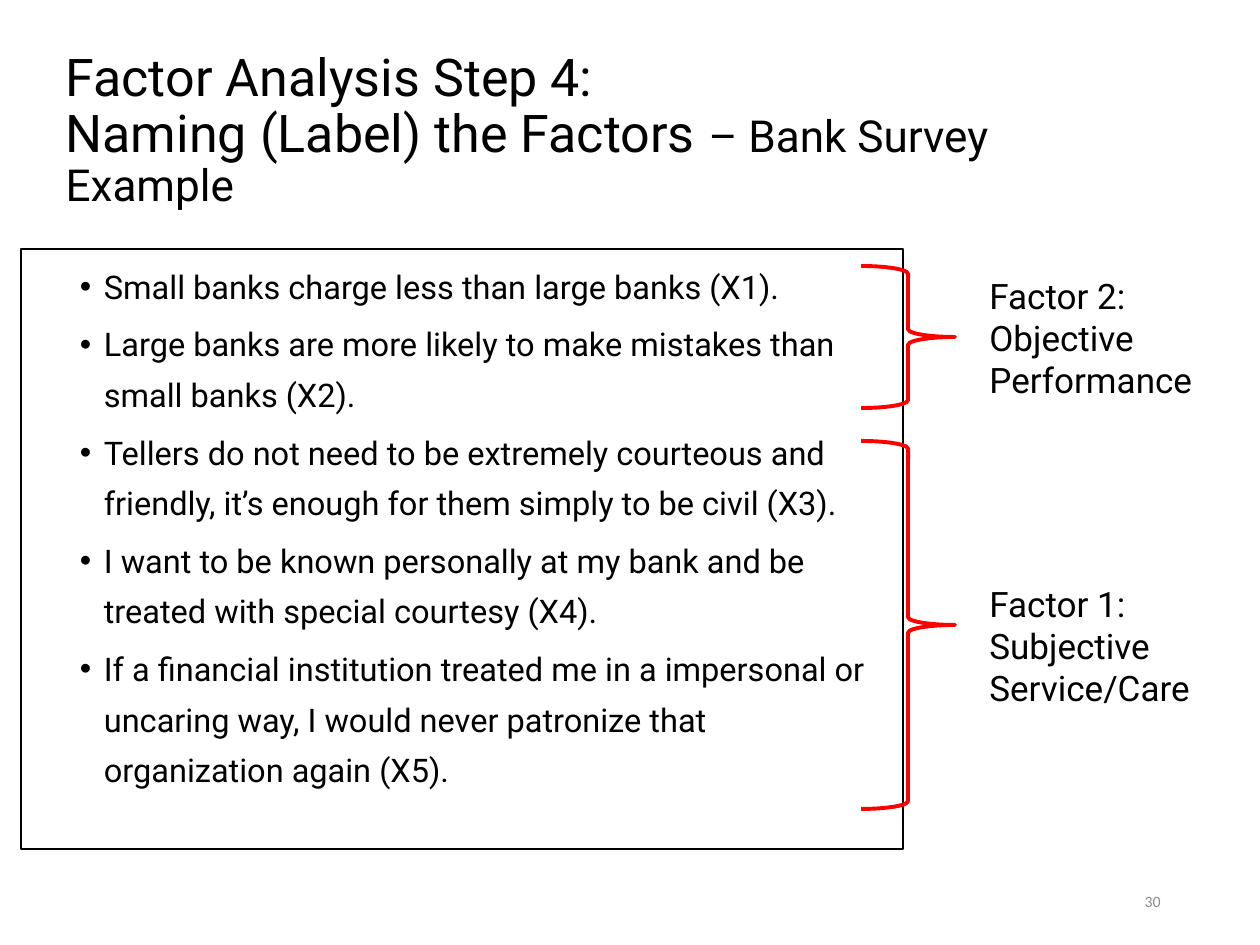
from dataclasses import dataclass

from lxml import etree
from pptx import Presentation
from pptx import util as u
from pptx.dml.color import RGBColor
from pptx.enum import shapes, text
from pptx.oxml.ns import qn

EMU_PER_PX = 914400 / 126


def px(n):
    """Turn whole pixels into EMU."""
    return u.Emu(round(n * EMU_PER_PX))


@dataclass(frozen=True)
class Theme:
    """Colours, fonts and type sizes of the slide."""
    ink: str = "000000"
    accent: str = "FF0000"
    muted: str = "8C8C8C"
    font: str = "Roboto"
    number_font: str = "Calibri"
    title: float = 29.7
    subtitle: float = 25.2
    body: float = 18.6
    label: float = 20
    number: float = 9


class SlideBuilder:
    """Draws each kind of element on the current slide."""

    def __init__(self, prs, theme):
        """Add a title-only slide to the presentation."""
        self.theme = theme
        self.s = prs.slides.add_slide(prs.slide_layouts[5])

    def run(self, p, words, size, color=None, font=None):
        """Add one styled run to a paragraph."""
        r = p.add_run()
        r.text = words
        r.font.size = u.Pt(size)
        r.font.name = font or self.theme.font
        r.font.color.rgb = RGBColor.from_string(color or self.theme.ink)

    def frame(self, sp, anchor):
        """Prepare the text frame of a shape."""
        tf = sp.text_frame
        tf.word_wrap = True
        tf.auto_size = text.MSO_AUTO_SIZE.NONE
        tf.vertical_anchor = anchor
        return tf

    def outline(self, sp, color, width):
        """Give a shape a plain line without fill or shadow."""
        sp.shadow.inherit = False
        sp.fill.background()
        sp.line.color.rgb = RGBColor.from_string(color)
        sp.line.width = u.Pt(width)

    def title(self, box, first, second, ending):
        """Place the two-size title."""
        sp = self.s.shapes.title
        sp.left, sp.top, sp.width, sp.height = map(px, box)
        p = self.frame(sp, text.MSO_ANCHOR.MIDDLE).paragraphs[0]
        p.alignment = text.PP_ALIGN.LEFT
        p.line_spacing = 0.9
        self.run(p, first, self.theme.title)
        p.add_line_break()
        self.run(p, second, self.theme.title)
        self.run(p, ending, self.theme.subtitle)

    def bullets(self, box, items):
        """Place a framed bullet list."""
        sp = self.s.shapes.add_shape(shapes.MSO_SHAPE.RECTANGLE, *map(px, box))
        self.outline(sp, self.theme.ink, 0.75)
        tf = self.frame(sp, text.MSO_ANCHOR.TOP)
        for i, item in enumerate(items):
            p = tf.add_paragraph() if i else tf.paragraphs[0]
            pPr = p._p.get_or_add_pPr()
            pPr.set("marL", str(u.Inches(0.56)))
            pPr.set("indent", str(u.Inches(-0.19)))
            etree.SubElement(pPr, qn("a:buFont"), typeface="Arial")
            etree.SubElement(pPr, qn("a:buChar"), char="•")
            p.level = 1
            p.alignment = text.PP_ALIGN.LEFT
            p.line_spacing = 1.3
            if i:
                p.space_before = u.Pt(3.8)
            self.run(p, item, self.theme.body)

    def label(self, box, words):
        """Place a wrapped factor label."""
        sp = self.s.shapes.add_textbox(*map(px, box))
        tf = self.frame(sp, text.MSO_ANCHOR.TOP)
        self.run(tf.paragraphs[0], words, self.theme.label)

    def brace(self, box):
        """Place a right brace."""
        sp = self.s.shapes.add_shape(shapes.MSO_SHAPE.RIGHT_BRACE, *map(px, box))
        self.outline(sp, self.theme.accent, 2.25)

    def number(self, box, words):
        """Place the slide number."""
        sp = self.s.shapes.add_textbox(*map(px, box))
        p = self.frame(sp, text.MSO_ANCHOR.MIDDLE).paragraphs[0]
        p.alignment = text.PP_ALIGN.RIGHT
        t = self.theme
        self.run(p, words, t.number, t.muted, t.number_font)


STATEMENTS = [
    "Small banks charge less than large banks (X1).",
    "Large banks are more likely to make mistakes than small banks (X2).",
    "Tellers do not need to be extremely courteous and friendly, "
    "it’s enough for them simply to be civil (X3).",
    "I want to be known personally at my bank and be treated with "
    "special courtesy (X4).",
    "If a financial institution treated me in a impersonal or uncaring way, "
    "I would never patronize that organization again (X5).",
]
FACTORS = [
    ("Factor 1: Subjective Service/Care", 576, 441, 368),
    ("Factor 2: Objective Performance", 268, 266, 142),
]


def main():
    """Build and save the slide."""
    prs = Presentation()
    prs.slide_width, prs.slide_height = px(1260), px(945)
    slide = SlideBuilder(prs, Theme())
    slide.title((53, 40, 1121, 183), "Factor Analysis Step 4: ",
                "Naming (Label) the Factors ", "– Bank Survey Example")
    slide.bullets((21, 249, 882, 600), STATEMENTS)
    slide.number((890, 876, 283, 50), "30")
    for words, label_top, brace_top, brace_height in FACTORS:
        slide.label((977, label_top, 273, 140), words)
        slide.brace((861, brace_top, 94, brace_height))
    prs.save("out.pptx")


if __name__ == "__main__":
    main()
